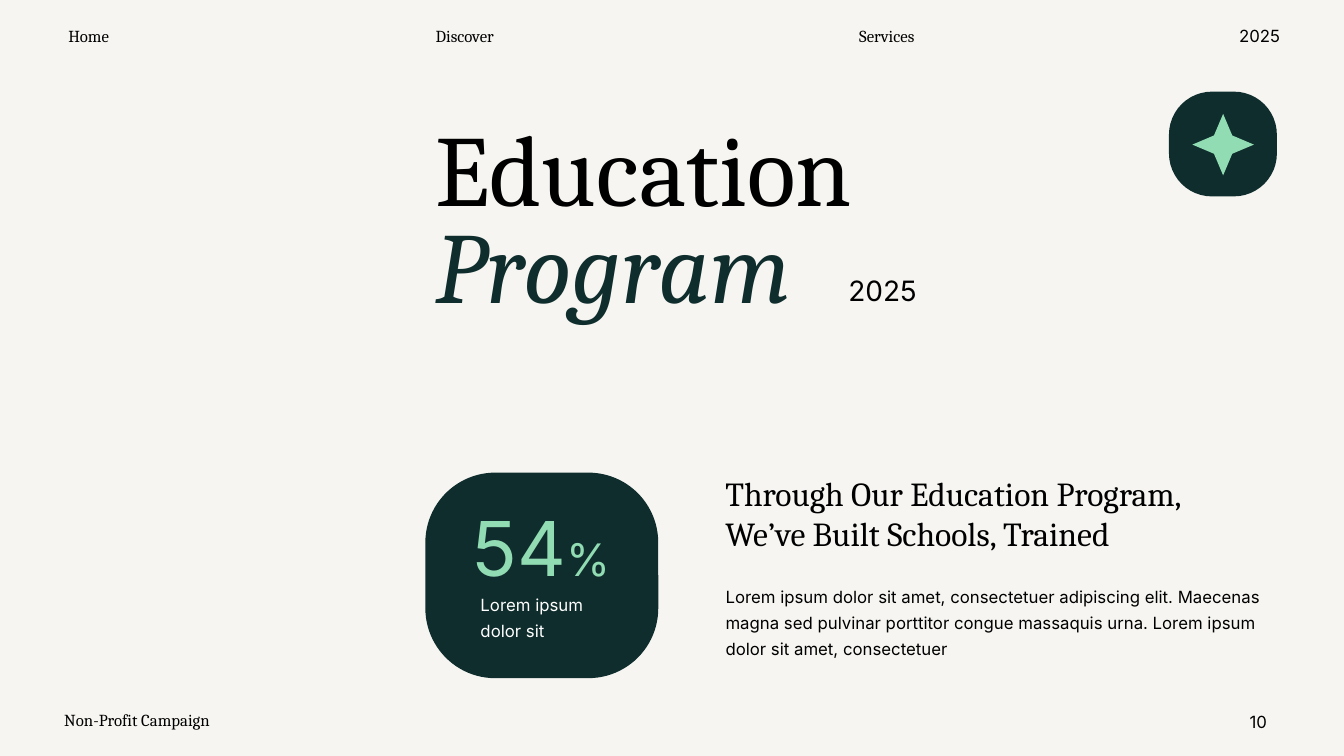
"""Builds the Education Program slide with its navigation bar, statistic card and text."""
from dataclasses import dataclass

from lxml import etree
from pptx import Presentation
from pptx.dml.color import RGBColor as RGB
from pptx.enum.shapes import MSO_SHAPE as SHAPE
from pptx.enum.text import MSO_ANCHOR as ANCHOR, MSO_AUTO_SIZE as FIT, PP_ALIGN as ALIGN
from pptx.oxml.ns import qn
from pptx.util import Cm, Pt


@dataclass(frozen=True)
class Theme:
    paper: str = "F6F5F1"
    ink: str = "000000"
    pine: str = "0F2D2D"
    mint: str = "91DCB3"
    white: str = "FFFFFF"
    serif: str = "Cambria"
    sans: str = "Inter"
    small: int = 12
    year: int = 20
    heading: int = 24
    percent: int = 32
    figure: int = 54
    title: int = 72


T = Theme()


def write(sp, box, runs, font, align=ALIGN.LEFT, spacing=1.0, wrap=True):
    sp.left, sp.top, sp.width, sp.height = (Cm(v) for v in box)
    tf = sp.text_frame
    tf.word_wrap = wrap
    tf.auto_size = FIT.NONE
    tf.vertical_anchor = ANCHOR.TOP
    p = tf.paragraphs[0]
    p.alignment = align
    p.line_spacing = spacing
    p.space_before = Pt(0)
    for text, size, color in runs:
        r = p.add_run()
        r.text = text
        r.font.name = font
        r.font.size = Pt(size)
        r.font.color.rgb = RGB.from_string(color)
    return p


def draw(kind, box, adjust, color):
    sp = slide.shapes.add_shape(kind, *(Cm(v) for v in box))
    sp.adjustments[0] = adjust
    sp.shadow.inherit = False
    sp.fill.solid()
    sp.fill.fore_color.rgb = RGB.from_string(color)
    sp.line.fill.background()


prs = Presentation()
prs.slide_width, prs.slide_height = Cm(33.87), Cm(19.05)
slide = prs.slides.add_slide(prs.slide_layouts[1])
slide.background.fill.solid()
slide.background.fill.fore_color.rgb = RGB.from_string(T.paper)

nav = [
    ("Home", 1.37, 1.73, T.serif),
    ("Discover", 10.57, 2.29, T.serif),
    ("Services", 21.26, 2.18, T.serif),
    ("2025", 30.96, 1.57, T.sans),
]
for text, left, width, font in nav:
    write(slide.shapes.add_textbox(0, 0, 0, 0), (left, 0.53, width, 0.76),
          [(text, T.small, T.ink)], font, ALIGN.CENTER, wrap=False)

p = write(slide.shapes.title, (10.72, 3.12, 12.93, 5.18),
          [("Education ", T.title, T.ink), ("Program", T.title, T.pine)], T.serif, spacing=0.8)
p.runs[1].font.italic = True

body = slide.placeholders[1]
pPr = body.text_frame.paragraphs[0]._p.get_or_add_pPr()
pPr.set("marL", "0")
pPr.set("indent", "0")
etree.SubElement(pPr, qn("a:buNone"))
write(body, (18.03, 14.5, 14.43, 2.18),
      [("Lorem ipsum dolor sit amet, consectetuer adipiscing elit. Maecenas magna sed pulvinar "
        "porttitor congue massaquis urna. Lorem ipsum dolor sit amet, consectetuer",
        T.small, T.ink)], T.sans, spacing=1.3)

draw(SHAPE.ROUNDED_RECTANGLE, (29.46, 2.31, 2.72, 2.64), 0.41, T.pine)
draw(SHAPE.STAR_4_POINT, (30.05, 2.87, 1.55, 1.55), 0.21, T.mint)
draw(SHAPE.ROUNDED_RECTANGLE, (10.72, 11.91, 5.87, 5.18), 0.34, T.pine)

texts = [
    ((18.03, 11.79, 13.56, 2.31),
     [("Through Our Education Program, We’ve Built Schools, Trained", T.heading, T.ink)],
     T.serif, ALIGN.LEFT, 1.0),
    ((21.13, 6.76, 2.49, 1.12), [("2025", T.year, T.ink)], T.sans, ALIGN.LEFT, 1.0),
    ((11.23, 12.75, 4.85, 2.34), [("54", T.figure, T.mint), ("%", T.percent, T.mint)],
     T.sans, ALIGN.CENTER, 0.9),
    ((11.86, 14.71, 3.56, 1.52), [("Lorem ipsum dolor sit", T.small, T.white)],
     T.sans, ALIGN.LEFT, 1.3),
    ((1.37, 17.75, 7.34, 0.76), [("Non-Profit Campaign", T.small, T.ink)],
     T.serif, ALIGN.LEFT, 1.0),
    ((30.45, 17.81, 1.73, 0.76), [("10", T.small, T.ink)], T.sans, ALIGN.RIGHT, 1.0),
]
for box, runs, font, align, spacing in texts:
    write(slide.shapes.add_textbox(0, 0, 0, 0), box, runs, font, align, spacing)

prs.save("out.pptx")
